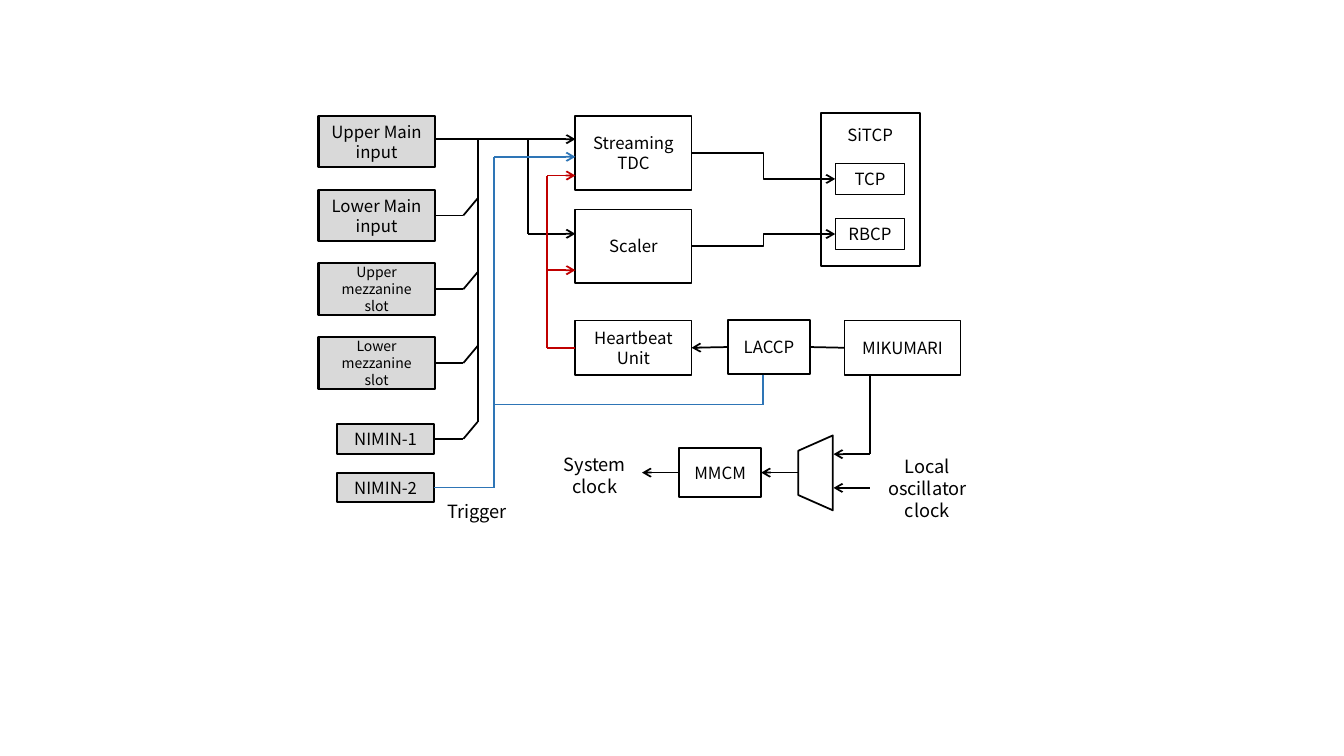
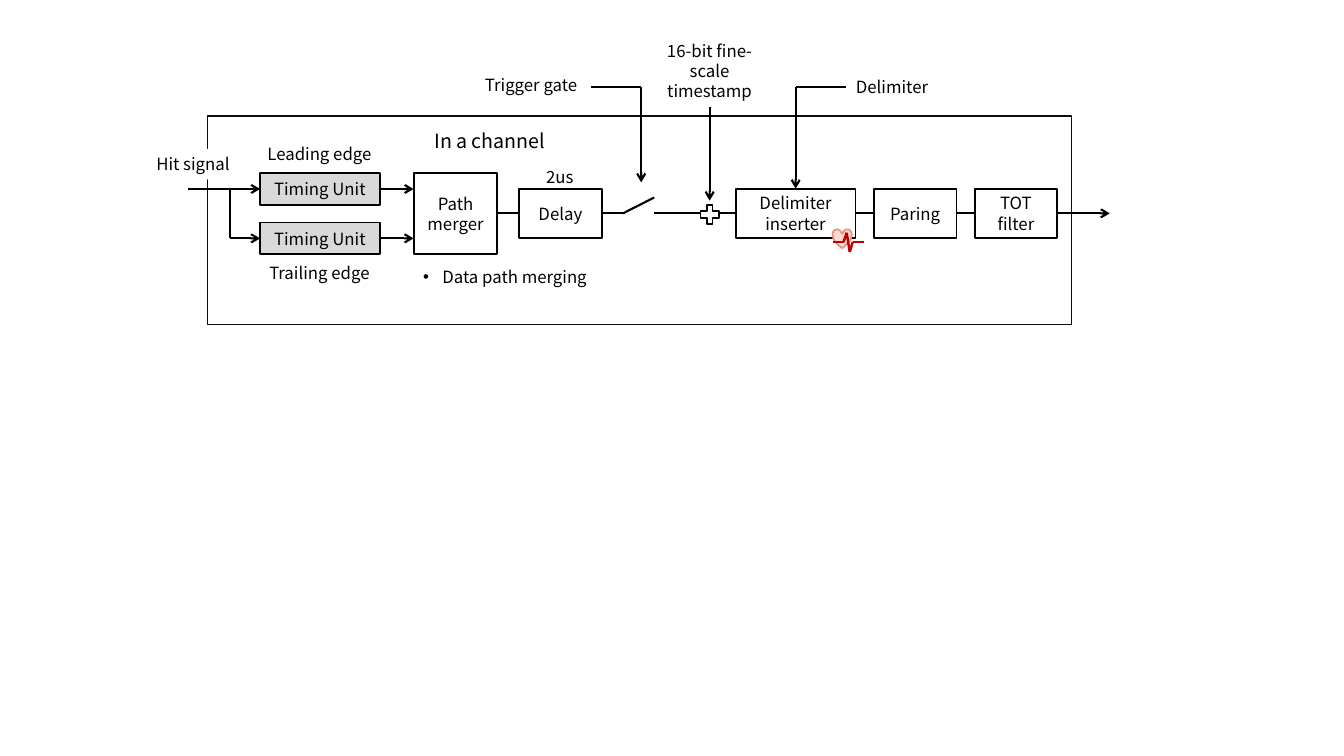
"""Build two block diagrams: the streaming TDC firmware and one TDC channel."""
from lxml import etree
from pptx import Presentation
from pptx.dml.color import RGBColor
from pptx.enum import shapes, text
from pptx.oxml import ns
from pptx.util import Pt

COLORS = {
    "black": "000000", "frame": "0D0D0D", "white": "FFFFFF", "input": "D9D9D9",
    "trigger": "2E75B6", "heartbeat": "C00000", "heart": "FADAD3", "heart_edge": "F0917B",
}
FORM = shapes.MSO_SHAPE
TOP, LEFT, BOTTOM, RIGHT = range(4)


def rgb(name):
    return RGBColor.from_string(COLORS[name])


class Diagram:
    """Holds the shared style and the current slide."""

    font = "Noto Sans CJK JP"

    def __init__(self, prs):
        self.prs = prs
        self.slide = None
        self.weight = 1.25

    def new_slide(self, weight):
        self.slide = self.prs.slides.add_slide(self.prs.slide_layouts[6])
        self.weight = weight

    def set_words(self, frame, words, size, align, bullet=False):
        frame.word_wrap = True
        frame.text = words
        for paragraph in frame.paragraphs:
            paragraph.alignment = align
            if bullet:
                props = paragraph._p.get_or_add_pPr()
                props.set("marL", str(Pt(13.7)))
                props.set("indent", str(-Pt(13.7)))
                etree.SubElement(props, ns.qn("a:buFont")).set("typeface", "Arial")
                etree.SubElement(props, ns.qn("a:buChar")).set("char", "•")
            paragraph.font.name = self.font
            paragraph.font.size = Pt(size)
            paragraph.font.color.rgb = rgb("black")

    def box(self, x, y, w, h, words="", fill="white", edge="black", weight=1.25,
            size=12, form=FORM.RECTANGLE):
        shape = self.slide.shapes.add_shape(form, Pt(x), Pt(y), Pt(w), Pt(h))
        shape.shadow.inherit = False
        shape.fill.solid()
        shape.fill.fore_color.rgb = rgb(fill)
        shape.line.color.rgb = rgb(edge)
        shape.line.width = Pt(weight)
        if words:
            shape.text_frame.vertical_anchor = text.MSO_ANCHOR.MIDDLE
            self.set_words(shape.text_frame, words, size, text.PP_ALIGN.CENTER)
        return shape

    def label(self, x, y, w, h, words, size=12, align=text.PP_ALIGN.CENTER,
              fill=None, bullet=False):
        area = self.slide.shapes.add_textbox(Pt(x), Pt(y), Pt(w), Pt(h))
        if fill:
            area.fill.solid()
            area.fill.fore_color.rgb = rgb(fill)
        self.set_words(area.text_frame, words, size, align, bullet)
        area.text_frame.auto_size = text.MSO_AUTO_SIZE.SHAPE_TO_FIT_TEXT

    def line(self, start, end, color="black", arrow=False, weight=None, elbow=False):
        kind = shapes.MSO_CONNECTOR.ELBOW if elbow else shapes.MSO_CONNECTOR.STRAIGHT
        places = [end_point(start), end_point(end)]
        wire = self.slide.shapes.add_connector(kind, *(Pt(v) for xy in places for v in xy))
        if is_joint(start):
            wire.begin_connect(*start)
        if is_joint(end):
            wire.end_connect(*end)
        wire.line.color.rgb = rgb(color)
        wire.line.width = Pt(weight or self.weight)
        props = wire._element.spPr
        if arrow:
            tip = etree.SubElement(props.find(ns.qn("a:ln")), ns.qn("a:tailEnd"))
            tip.set("type", "arrow")
        etree.SubElement(props, ns.qn("a:effectLst"))

    def route(self, *stops, arrow=False, **style):
        last = len(stops) - 2
        for i, (start, end) in enumerate(zip(stops, stops[1:])):
            self.line(start, end, arrow=arrow and i == last, **style)


def is_joint(end):
    return not isinstance(end[0], (int, float))


def end_point(end):
    if not is_joint(end):
        return end
    shape, side = end
    x, y, w, h = (v.pt for v in (shape.left, shape.top, shape.width, shape.height))
    return {TOP: (x + w / 2, y), LEFT: (x, y + h / 2),
            BOTTOM: (x + w / 2, y + h), RIGHT: (x + w, y + h / 2)}[side]


def firmware(d):
    d.new_slide(weight=1.25)
    inputs = []
    for i, (words, size) in enumerate([("Upper Main\ninput", 12), ("Lower Main\ninput", 12),
                                       ("Upper mezzanine slot", 10),
                                       ("Lower mezzanine slot", 10)]):
        inputs.append(d.box(227.5, 82.8 + 52.7 * i, 83, 36.8, words, "input",
                            weight=1.5, size=size))
    nim1, nim2 = (d.box(241, y, 69, 21, words, "input", weight=1.5)
                  for words, y in (("NIMIN-1", 303), ("NIMIN-2", 337.8)))

    module_x, module_w = 411, 83
    tdc = d.box(module_x, 83, module_w, 52.6, "Streaming\nTDC")
    scaler = d.box(module_x, 149.6, module_w, 52.6, "Scaler")
    heartbeat = d.box(module_x, 228.9, module_w, 39, "Heartbeat\nUnit")
    laccp = d.box(519.8, 228.4, 59, 39, "LACCP")
    mikumari = d.box(603.2, 228.9, module_w, 39, "MIKUMARI")
    mmcm = d.box(485.2, 320.2, 58.5, 34.8, "MMCM")
    mux = d.box(555.8, 325.4, 53.5, 24.7, form=FORM.TRAPEZOID)
    mux.adjustments[0] = 0.443
    mux.rotation = 270

    d.box(586.2, 80.6, 70.8, 109.6)
    tcp, rbcp = (d.box(596.6, y, 49.7, 22, words, weight=1)
                 for words, y in (("TCP", 116.8), ("RBCP", 156.2)))
    d.label(592.4, 85.6, 58.3, 21.8, "SiTCP", fill="white")

    signal_y, bus_x, scaler_x, rise = 99.4, 341.2, 377.3, 12.2
    d.line((310.5, signal_y), (module_x, signal_y), arrow=True)
    d.route((scaler_x, signal_y), (scaler_x, 167), (module_x, 167), arrow=True)
    for source in inputs[1:] + [nim1]:
        y = end_point((source, RIGHT))[1]
        d.route((source, RIGHT), (331, y), (bus_x, y - rise))
    d.line((bus_x, signal_y), (bus_x, y - rise))

    beat_x, beat_y = 391, 248.4
    d.route((heartbeat, LEFT), (beat_x, beat_y), (beat_x, 125.4), (module_x, 125.4),
            arrow=True, color="heartbeat")
    d.line((beat_x, 193), (module_x, 193), "heartbeat", arrow=True)

    trigger_x, trigger_y = 353, 289
    d.route((nim2, RIGHT), (trigger_x, 348.3), (trigger_x, 112), (module_x, 112),
            arrow=True, color="trigger")
    d.route((545, 267.6), (545, trigger_y), (trigger_x, trigger_y), color="trigger")

    for module, port in ((tdc, tcp), (scaler, rbcp)):
        d.line((module, RIGHT), (port, LEFT), arrow=True, elbow=True)
    d.line((mikumari, LEFT), (laccp, RIGHT))
    d.line((laccp, LEFT), (heartbeat, RIGHT), arrow=True)

    clock_x, mux_x = 621.4, 595.4
    d.route((clock_x, 267.9), (clock_x, 324.4), (mux_x, 324.4), arrow=True)
    d.line((clock_x, 348.5), (mux_x, 348.5), arrow=True)
    d.line((570.2, 337.6), (mmcm, RIGHT), arrow=True)
    d.line((mmcm, LEFT), (458.6, 337.6), arrow=True)

    d.label(387.4, 320.4, 74.9, 38.9, "System\nclock", 13)
    d.label(612, 321.8, 100.8, 54.7, "Local oscillator clock", 13)
    d.label(303.1, 353.5, 74.9, 23, "Trigger", 13)


def channel(d):
    d.new_slide(weight=1.5)
    d.box(148.3, 83, 617, 149, edge="frame", weight=1)
    rail_y = 152.4
    d.line((303, rail_y), (446.4, rail_y))
    d.line((467.3, rail_y), (792.7, rail_y), arrow=True)
    d.line((445, rail_y), (467.3, 141.1))

    timing = [d.box(185.8, y, 85.5, 22.6, "Timing Unit", "input") for y in (123.7, 159)]
    d.box(295.9, 123.7, 59, 57.6, "Path\nmerger")
    stage_y, stage_h = 134.8, 35.2
    stages = [d.box(x, stage_y, w, stage_h, words) for x, w, words in (
        (370.8, 59, "Delay"), (525.6, 85.5, "Delimiter\ninserter"),
        (624.2, 59, "Paring"), (696.2, 59, "TOT\nfilter"))]
    inserter = stages[1]

    for unit in timing:
        d.line((unit, RIGHT), (295.4, end_point((unit, RIGHT))[1]), arrow=True)
    branch_x, leading_y, trailing_y = 164, 135, 170.3
    d.line((134, leading_y), (timing[0], LEFT), arrow=True)
    d.route((branch_x, leading_y), (branch_x, trailing_y), (timing[1], LEFT), arrow=True)

    flush = text.PP_ALIGN.LEFT
    d.label(177.1, 98.8, 102.2, 21.8, "Leading edge")
    d.label(177.1, 184.3, 102.2, 21.8, "Trailing edge")
    d.label(295.2, 186.8, 163.4, 21.8, "Data path merging", align=flush, bullet=True)
    d.label(101.5, 106.4, 72.7, 21.8, "Hit signal", fill="white")
    d.label(303.1, 88.6, 238.3, 24.2, "In a channel", 14, flush)
    d.label(326.9, 49.9, 105.1, 21.8, "Trigger gate")
    d.label(383, 115.2, 36, 21.8, "2us", align=flush)
    d.label(465.1, 25.2, 83.5, 51.4, "16-bit fine-scale timestamp", fill="white")
    d.label(600.5, 51.3, 73.4, 21.8, "Delimiter", fill="white")

    gate_y, gate_x, stamp_x = 62.4, 458, 506.9
    d.route((422.4, gate_y), (gate_x, gate_y), (gate_x, 130.3), arrow=True)
    d.route((604, gate_y), (568.35, gate_y), (inserter, TOP), arrow=True)
    plus = d.box(500.4, 146.2, 13, 13.7, form=FORM.CROSS)
    plus.adjustments[0] = 0.338
    d.line((stamp_x, 76.4), (stamp_x, 143.3), arrow=True)

    d.box(594.7, 163.6, 13.7, 13.7, fill="heart", edge="heart_edge", form=FORM.HEART)
    d.route((594.7, 172.8), (602.6, 172.8), (604.8, 166.3), (607, 180), (609.1, 172.8),
            (617.4, 172.8), color="heartbeat", weight=1.75)


def main():
    prs = Presentation()
    prs.slide_width, prs.slide_height = Pt(960), Pt(540)
    diagram = Diagram(prs)
    firmware(diagram)
    channel(diagram)
    prs.save("out.pptx")


if __name__ == "__main__":
    main()
